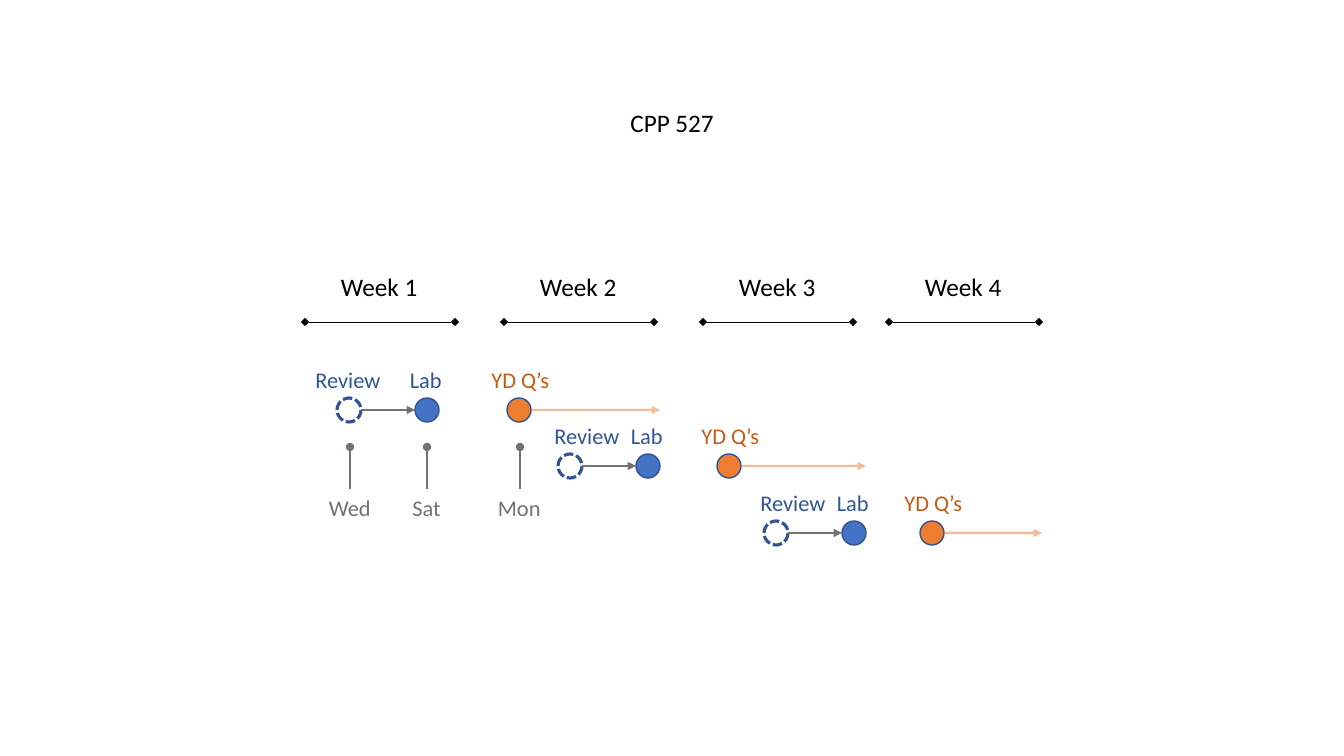
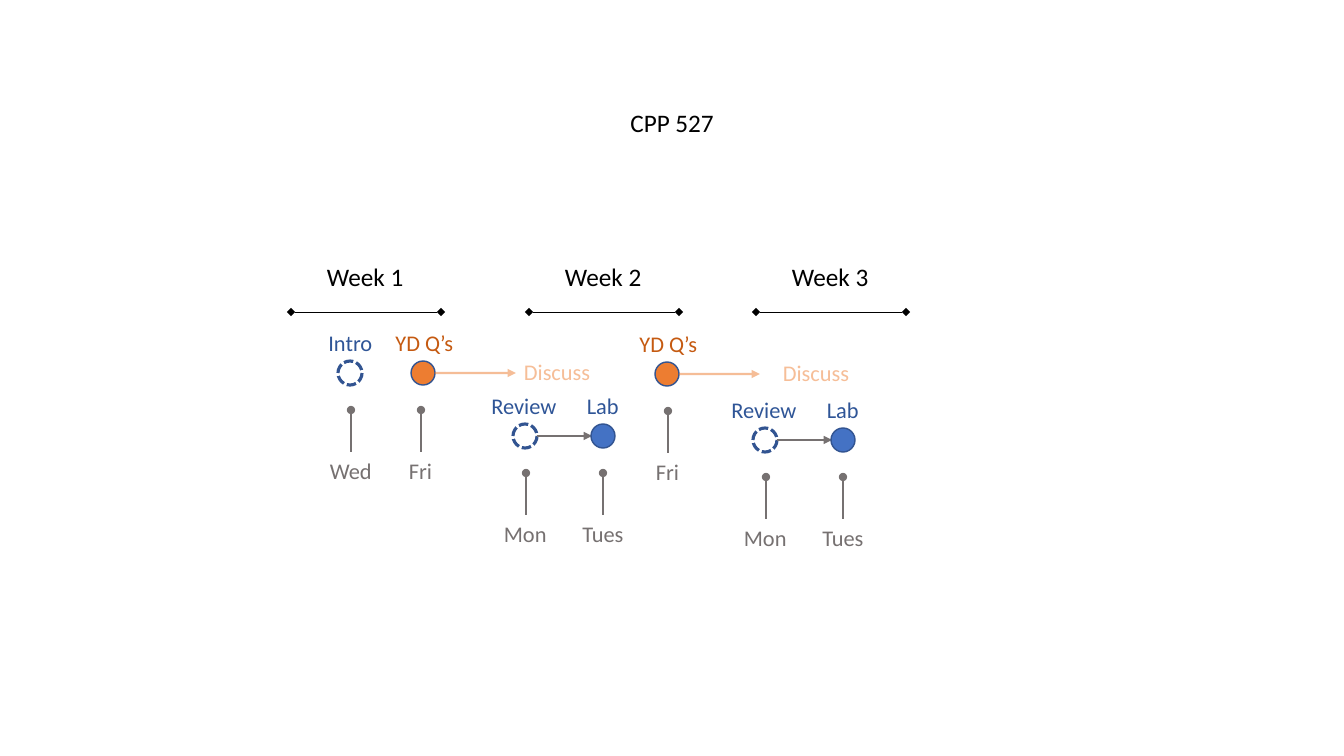
"""Draw two course timelines with weekly review, lab and question cycles."""
from pptx import Presentation
from pptx.dml.color import RGBColor
from pptx.enum.dml import MSO_LINE
from pptx.enum.shapes import MSO_CONNECTOR, MSO_SHAPE
from pptx.enum.text import MSO_AUTO_SIZE
from pptx.oxml.ns import qn
from pptx.util import Emu, Pt
from lxml import etree

STRAIGHT = MSO_CONNECTOR.STRAIGHT
OVAL = MSO_SHAPE.OVAL
DASH = MSO_LINE.SQUARE_DOT
FIT = MSO_AUTO_SIZE.SHAPE_TO_FIT_TEXT
SCALE = 914400 / 100.8

THEME = {
    "font": "Calibri",
    "outline": "325491",
    "text": {
        "heading": {"size": 18, "color": "000000", "height": 40},
        "task": {"size": 16, "color": "2F5597", "height": 37},
        "question": {"size": 16, "color": "C55A11", "height": 37},
        "discuss": {"size": 16, "color": "F6BE98", "height": 37},
        "day": {"size": 16, "color": "767171", "height": 37},
    },
    "line": {
        "week": {"color": "000000", "width": 0.5, "headEnd": "diamond", "tailEnd": "diamond"},
        "task": {"color": "767171", "width": 1.75, "tailEnd": "triangle"},
        "question": {"color": "ED7D31", "width": 1.75, "tailEnd": "triangle", "alpha": 50000},
        "day": {"color": "767171", "width": 1.75, "tailEnd": "oval"},
    },
    "dot": {
        "review": {"fill": None, "width": 2.25, "dash": DASH, "style": "task"},
        "lab": {"fill": "4472C4", "width": 1, "dash": None, "style": "task"},
        "question": {"fill": "ED7D31", "width": 1, "dash": None, "style": "question"},
    },
}
LABEL_WIDTHS = {"CPP 527": 105, "Review": 87, "Lab": 52, "YD Q’s": 79, "Intro": 65, "Discuss": 88,
                "Wed": 62, "Sat": 49, "Mon": 64, "Fri": 44, "Tues": 61}
WEEK_WIDTH = 98
WEEK_SPAN = 150
RADIUS = 12
LABEL_RISE = 49
DAY_DROP = 79
PIN_HEIGHT = 42

TIMELINES = [
    {
        "week_y": 322,
        "week_lefts": [305, 504, 703, 889],
        "events": [
            ("review", "Review", 349, 410, 349, 415, "Wed", 350),
            ("lab", "Lab", 427, 410, 426, None, "Sat", 427),
            ("question", "YD Q’s", 519, 410, 521, 660, "Mon", 520),
            ("review", "Review", 570, 466, 588, 636, None, None),
            ("lab", "Lab", 648, 466, 647, None, None, None),
            ("question", "YD Q’s", 729, 466, 731, 866, None, None),
            ("review", "Review", 776, 533, 794, 842, None, None),
            ("lab", "Lab", 854, 533, 853, None, None, None),
            ("question", "YD Q’s", 932, 533, 934, 1042, None, None),
        ],
        "discussions": [],
    },
    {
        "week_y": 312,
        "week_lefts": [291, 529, 756],
        "events": [
            ("review", "Intro", 350, 373, 351, None, "Wed", 351),
            ("question", "YD Q’s", 423, 373, 425, 516, "Fri", 421),
            ("review", "Review", 525, 436, 525, 592, "Mon", 526),
            ("lab", "Lab", 603, 436, 603, None, "Tues", 603),
            ("question", "YD Q’s", 667, 374, 669, 760, "Fri", 668),
            ("review", "Review", 765, 440, 765, 832, "Mon", 766),
            ("lab", "Lab", 843, 440, 843, None, "Tues", 843),
        ],
        "discussions": [(558, 353), (817, 354)],
    },
]


def write(page, text, center, top, style):
    """Place one line of text centred on a horizontal position."""
    look = THEME["text"][style]
    width = LABEL_WIDTHS.get(text, WEEK_WIDTH)
    frame = [center - width / 2, top, width, look["height"]]
    box = page.shapes.add_textbox(*[Emu(round(length * SCALE)) for length in frame])
    for name, value in {"word_wrap": False, "auto_size": FIT}.items():
        setattr(box.text_frame, name, value)
    span = box.text_frame.paragraphs[0].add_run()
    span.text = text
    for name, value in {"name": THEME["font"], "size": Pt(look["size"])}.items():
        setattr(span.font, name, value)
    span.font.color.rgb = RGBColor.from_string(look["color"])


def connect(page, start_x, start_y, end_x, end_y, style):
    """Draw a straight line with the ends its style asks for."""
    look = THEME["line"][style]
    ends = [Emu(round(length * SCALE)) for length in (start_x, start_y, end_x, end_y)]
    connector = page.shapes.add_connector(STRAIGHT, *ends)
    connector.line.color.rgb = RGBColor.from_string(look["color"])
    connector.line.width = Pt(look["width"])
    properties = connector.line._get_or_add_ln()
    if "alpha" in look:
        color = properties.find(".//" + qn("a:srgbClr"))
        etree.SubElement(color, qn("a:alpha"), val=str(look["alpha"]))
    for end in ("headEnd", "tailEnd"):
        if end in look:
            etree.SubElement(properties, qn("a:" + end), type=look[end])
    etree.SubElement(connector._element.spPr, qn("a:effectLst"))


deck = Presentation()
deck.slide_width = Emu(round(1344 * SCALE))
deck.slide_height = Emu(round(756 * SCALE))

for timeline in TIMELINES:
    page = deck.slides.add_slide(deck.slide_layouts[6])
    write(page, "CPP 527", 673, 102, "heading")

    week_y = timeline["week_y"]
    for number, left in enumerate(timeline["week_lefts"], start=1):
        connect(page, left, week_y, left + WEEK_SPAN, week_y, "week")
        write(page, f"Week {number}", left + WEEK_SPAN / 2, week_y - 56, "heading")

    for kind, label, x, y, label_x, arrow_end, day, day_x in timeline["events"]:
        look = THEME["dot"][kind]
        frame = [x - RADIUS, y - RADIUS, 2 * RADIUS, 2 * RADIUS]
        dot = page.shapes.add_shape(OVAL, *[Emu(round(length * SCALE)) for length in frame])
        dot.shadow.inherit = False
        if look["fill"]:
            dot.fill.solid()
            dot.fill.fore_color.rgb = RGBColor.from_string(look["fill"])
        else:
            dot.fill.background()
        dot.line.color.rgb = RGBColor.from_string(THEME["outline"])
        for name, value in {"width": Pt(look["width"]), "dash_style": look["dash"]}.items():
            setattr(dot.line, name, value)

        write(page, label, label_x, y - LABEL_RISE, look["style"])
        if arrow_end:
            connect(page, x + RADIUS, y, arrow_end, y, look["style"])
        if day:
            base = y + DAY_DROP
            connect(page, day_x, base, day_x, base - PIN_HEIGHT, "day")
            write(page, day, day_x, base, "day")

    for center, top in timeline["discussions"]:
        write(page, "Discuss", center, top, "discuss")

deck.save("out.pptx")
